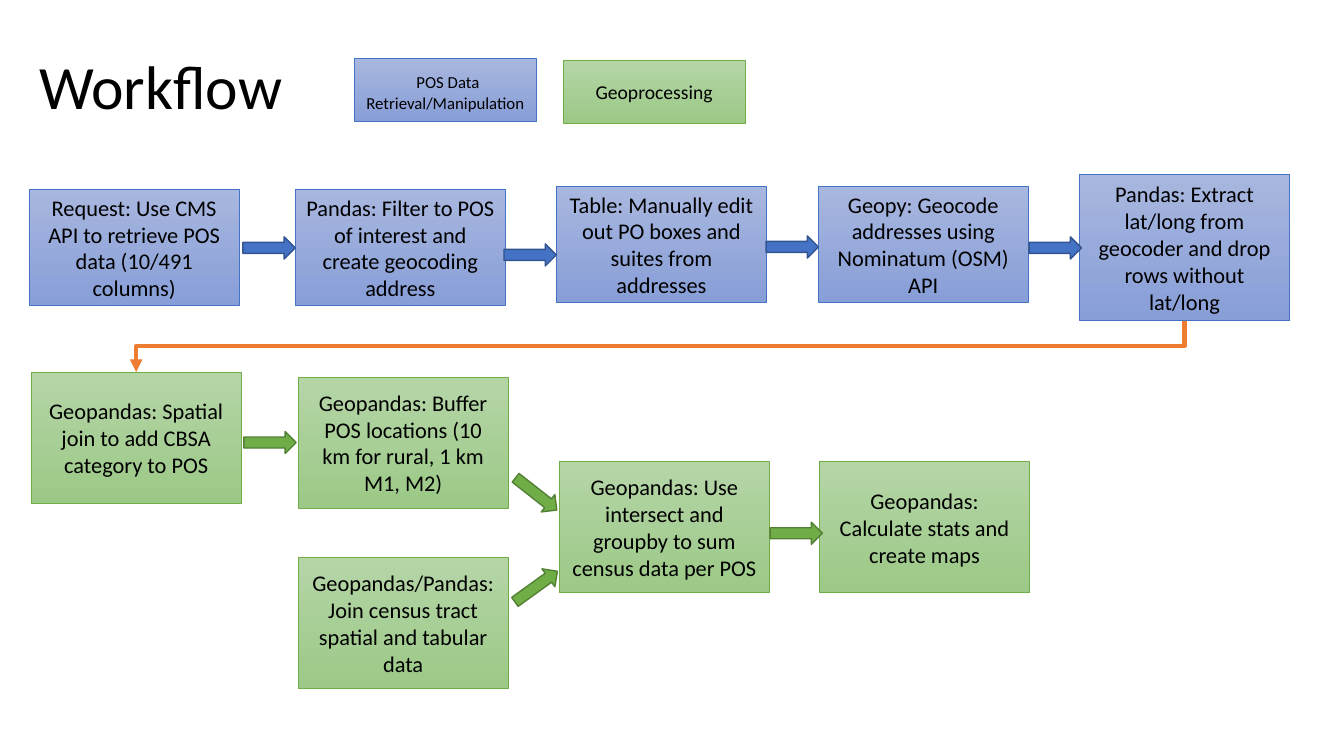
import pptx
import pptx.util
import pptx.dml.color
import pptx.enum.shapes
import pptx.enum.text
import pptx.oxml
import pptx.oxml.ns

Pt = pptx.util.Pt
RGB = pptx.dml.color.RGBColor
SHAPE = pptx.enum.shapes.MSO_SHAPE
MIDDLE = pptx.enum.text.MSO_ANCHOR.MIDDLE
CENTER = pptx.enum.text.PP_ALIGN.CENTER
LEFT = pptx.enum.text.PP_ALIGN.LEFT

BLACK = RGB(0x00, 0x00, 0x00)
ORANGE = RGB(0xED, 0x7D, 0x31)
# Each stage: gradient top and bottom, main colour, arrow outline
POS_DATA = (RGB(0xA8, 0xB7, 0xDF), RGB(0x88, 0x9E, 0xD7),
            RGB(0x44, 0x72, 0xC4), RGB(0x32, 0x54, 0x91))
GEOPROCESSING = (RGB(0xB5, 0xD5, 0xA7), RGB(0x9C, 0xC9, 0x87),
                 RGB(0x70, 0xAD, 0x47), RGB(0x53, 0x80, 0x35))

STEP_WIDTH = 150
LEGEND_SIZE = (129.6, 44.6)
ARROW_SIZE = (37.4, 15.8)

# Steps: left, top, height, text
POS_STEPS = [
    (20.9, 135.4, 82.8, "Request: Use CMS API to retrieve POS data (10/491 columns)"),
    (211, 135.4, 82.8, "Pandas: Filter to POS of interest and create geocoding address"),
    (397.5, 133.2, 82.8, "Table: Manually edit out PO boxes and suites from addresses"),
    (584.5, 133.2, 82.8, "Geopy: Geocode addresses using Nominatum (OSM) API"),
    (771.1, 124.6, 104.4, "Pandas: Extract lat/long from geocoder and drop rows without lat/long"),
]
GEO_STEPS = [
    (22.3, 265.7, 93.6, "Geopandas: Spatial join to add CBSA category to POS"),
    (213, 398.2, 93.6, "Geopandas/Pandas: Join census tract spatial and tabular data"),
    (213, 269.3, 93.6, "Geopandas: Buffer POS locations (10 km for rural, 1 km M1, M2)"),
    (399.6, 329.8, 93.6, "Geopandas: Use intersect and groupby to sum census data per POS"),
    (585.4, 329.8, 93.6, "Geopandas: Calculate stats and create maps"),
]

# Arrows: left, top, rotation
POS_ARROWS = [(173.5, 169.2, 0), (360, 174.2, 0), (547.2, 168.5, 0), (735.1, 169.2, 0)]
GEO_ARROWS = [(174.2, 308.2, 0), (364.3, 344.9, 38.1), (550.1, 373, 0), (364.3, 411.1, 324.2)]


def apply(target, values):
    for name, value in values.items():
        setattr(target, name, value)


def write(frame, runs, align):
    """Fill a text frame with one paragraph of (text, size) runs."""
    apply(frame, {"word_wrap": True, "vertical_anchor": MIDDLE})
    paragraph = frame.paragraphs[0]
    paragraph.alignment = align
    for text, size in runs:
        run = paragraph.add_run()
        run.text = text
        apply(run.font, {"name": "Calibri", "size": Pt(size)})
        run.font.color.rgb = BLACK
    return paragraph


def add_title(slide, text):
    title = slide.shapes.add_textbox(Pt(20.9), Pt(11.5), Pt(828), Pt(104.4))
    write(title.text_frame, [(text, 44)], LEFT).line_spacing = 0.9


def add_preset(slide, preset, left, top, size, outline, weight):
    shape = slide.shapes.add_shape(preset, Pt(left), Pt(top), *map(Pt, size))
    shape.shadow.inherit = False
    shape.line.color.rgb = outline
    shape.line.width = Pt(weight)
    return shape


def add_process(slide, left, top, size, runs, stage):
    light, dark, main_color, _ = stage
    process = add_preset(slide, SHAPE.FLOWCHART_PROCESS, left, top, size, main_color, 0.5)
    process.fill.gradient()
    process.fill.gradient_angle = 270
    for stop, color in zip(process.fill.gradient_stops, (light, dark)):
        stop.color.rgb = color
    write(process.text_frame, runs, CENTER)
    return process


def add_steps(slide, steps, stage):
    return [add_process(slide, left, top, (STEP_WIDTH, height), [(text, 16)], stage)
            for left, top, height, text in steps]


def add_arrows(slide, arrows, stage):
    for left, top, rotation in arrows:
        arrow = add_preset(slide, SHAPE.RIGHT_ARROW, left, top, ARROW_SIZE, stage[3], 1)
        arrow.fill.solid()
        arrow.fill.fore_color.rgb = stage[2]
        arrow.rotation = rotation


def add_row_link(slide, last_step, first_step):
    """Elbow from the bottom of one step to the top of the next row's first."""
    link = slide.shapes.add_connector(
        pptx.enum.shapes.MSO_CONNECTOR.ELBOW, 0, 0, 0, 0)
    link.begin_connect(last_step, 2)
    link.end_connect(first_step, 0)
    # Turn the elbow a quarter so that it leaves and arrives vertically
    span, drop = link.width, link.height
    center_x, center_y = link.left + span // 2, link.top + drop // 2
    apply(link, {"left": center_x - drop // 2, "top": center_y - span // 2,
                 "width": drop, "height": span})
    properties = link._element.spPr
    xfrm = properties.find(pptx.oxml.ns.qn("a:xfrm"))
    xfrm.attrib.pop("flipH", None)
    xfrm.set("rot", "5400000")
    # Line, arrowhead and no shadow
    link.line.color.rgb = ORANGE
    link.line.width = Pt(3)
    namespace = pptx.oxml.ns.nsdecls("a")
    link.line._get_or_add_ln().append(
        pptx.oxml.parse_xml(f'<a:tailEnd {namespace} type="triangle"/>'))
    properties.append(pptx.oxml.parse_xml(f"<a:effectLst {namespace}/>"))


def main():
    presentation = pptx.Presentation()
    apply(presentation, {"slide_width": Pt(960), "slide_height": Pt(540)})
    slide = presentation.slides.add_slide(presentation.slide_layouts[6])
    add_title(slide, "Workflow")

    # Workflow rows
    pos_steps = add_steps(slide, POS_STEPS, POS_DATA)
    add_arrows(slide, POS_ARROWS, POS_DATA)
    geo_steps = add_steps(slide, GEO_STEPS, GEOPROCESSING)
    add_arrows(slide, GEO_ARROWS, GEOPROCESSING)
    add_row_link(slide, pos_steps[-1], geo_steps[0])

    # Legend
    add_process(slide, 253.4, 41.8, LEGEND_SIZE,
                [(" ", 16), ("POS Data Retrieval/Manipulation", 12)], POS_DATA)
    add_process(slide, 402.5, 43.2, LEGEND_SIZE, [("Geoprocessing", 14)], GEOPROCESSING)

    presentation.save("out.pptx")


main()
